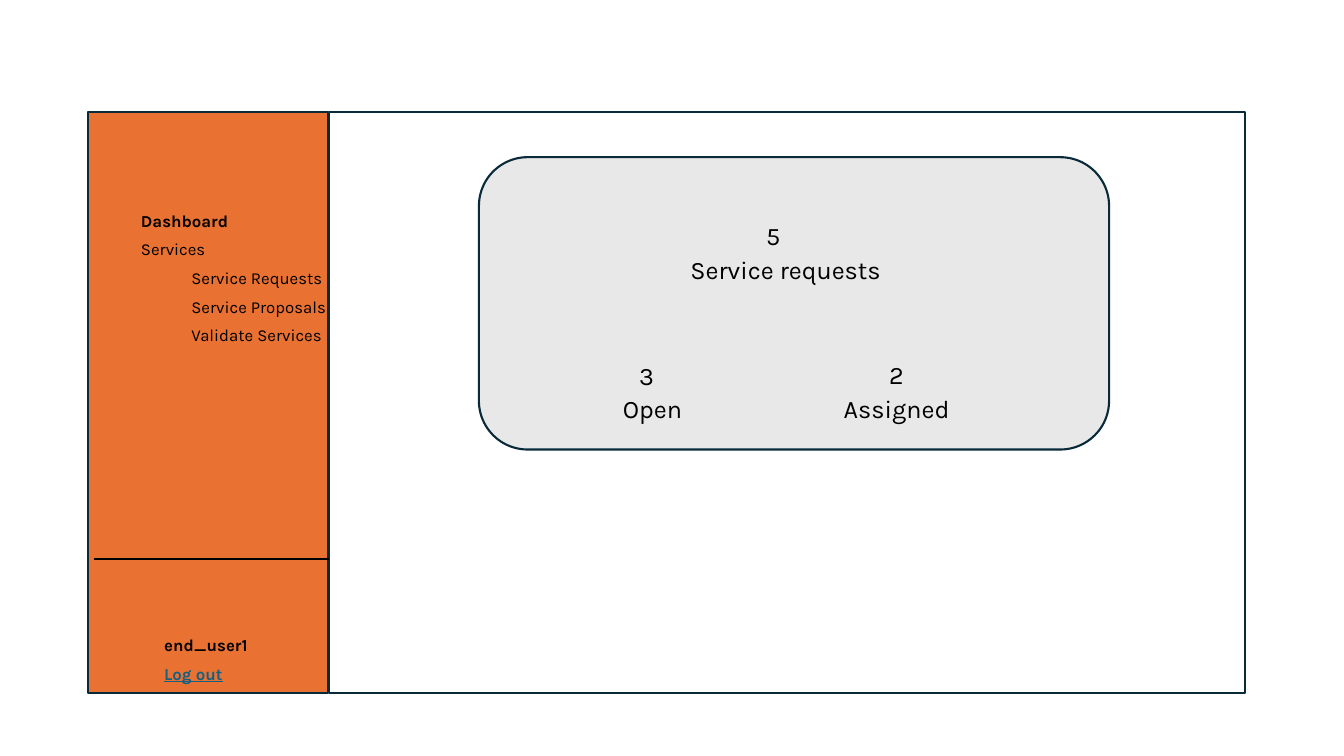
from lxml.etree import SubElement
from pptx import Presentation
from pptx.dml.color import RGBColor
from pptx.enum.shapes import MSO_CONNECTOR, MSO_SHAPE
from pptx.enum.text import MSO_AUTO_SIZE
from pptx.oxml.ns import qn
from pptx.util import Inches, Pt

COLORS = {
    "sidebar": "E97132",
    "outline": "092A39",
    "card": "E8E8E8",
    "text": "000000",
    "link": "156082",
}


class DashboardSlide:
    """Draws the elements of a dashboard mockup in one shared style."""

    font = "Karla"
    line_width = Pt(1.5)

    def __init__(self, slide):
        self.shapes = slide.shapes

    def color(self, name):
        return RGBColor.from_string(COLORS[name])

    def panel(self, left, top, width, height, fill=None, kind=MSO_SHAPE.RECTANGLE):
        panel = self.shapes.add_shape(
            kind, Inches(left), Inches(top), Inches(width), Inches(height))
        panel.shadow.inherit = False
        if fill:
            panel.fill.solid()
            panel.fill.fore_color.rgb = self.color(fill)
        else:
            panel.fill.background()
        panel.line.color.rgb = self.color("outline")
        panel.line.width = self.line_width

    def divider(self, left, right, y):
        divider = self.shapes.add_connector(
            MSO_CONNECTOR.STRAIGHT, Inches(left), Inches(y), Inches(right), Inches(y))
        divider.line.color.rgb = self.color("text")
        divider.line.width = self.line_width
        SubElement(divider._element.spPr, qn("a:effectLst"))

    def text(self, left, top, width, height, lines, size=18, space_after=0):
        box = self.shapes.add_textbox(
            Inches(left), Inches(top), Inches(width), Inches(height))
        frame = box.text_frame
        frame.word_wrap = True
        frame.auto_size = MSO_AUTO_SIZE.SHAPE_TO_FIT_TEXT
        frame.text = "\n".join(wording for wording, _ in lines)
        for paragraph, (_, style) in zip(frame.paragraphs, lines):
            paragraph.space_after = Pt(space_after)
            if "child" in style:
                paragraph.level = 1
                properties = paragraph._p.get_or_add_pPr()
                properties.set("marL", str(Inches(0.5)))
                properties.set("indent", "0")
            font = paragraph.runs[0].font
            font.name = self.font
            font.size = Pt(size)
            font.bold = "bold" in style
            font.underline = "link" in style
            font.color.rgb = self.color("link" if "link" in style else "text")


def main():
    presentation = Presentation()
    presentation.slide_width = Inches(13.33)
    presentation.slide_height = Inches(7.5)
    dashboard = DashboardSlide(
        presentation.slides.add_slide(presentation.slide_layouts[6]))

    dashboard.panel(0.87, 1.11, 2.38, 5.77, "sidebar")
    dashboard.panel(3.26, 1.11, 9.09, 5.77)
    dashboard.divider(0.93, 3.26, 5.55)

    account = [("end_user1", {"bold"}), ("Log out", {"bold", "link"})]
    dashboard.text(1.53, 6.25, 1.25, 0.59, account, size=12, space_after=6)

    menu = [("Dashboard", {"bold"}), ("Services", set())]
    menu += [(entry, {"child"}) for entry in (
        "Service Requests", "Service Proposals", "Validate Services")]
    dashboard.text(1.3, 2.04, 2.1, 1.73, menu, size=12, space_after=6)

    dashboard.panel(4.75, 1.56, 6.25, 2.9, "card", MSO_SHAPE.ROUNDED_RECTANGLE)
    for wording, left, top, width in (
        ("5", 7.5, 2.14, 1.71),
        ("Service requests", 6.75, 2.47, 2.34),
        ("3", 6.24, 3.53, 0.46),
        ("Open", 6.08, 3.85, 0.9),
        ("2", 8.72, 3.52, 0.49),
        ("Assigned", 8.27, 3.85, 1.47),
    ):
        dashboard.text(left, top, width, 0.4, [(wording, set())])

    presentation.save("out.pptx")


if __name__ == "__main__":
    main()
